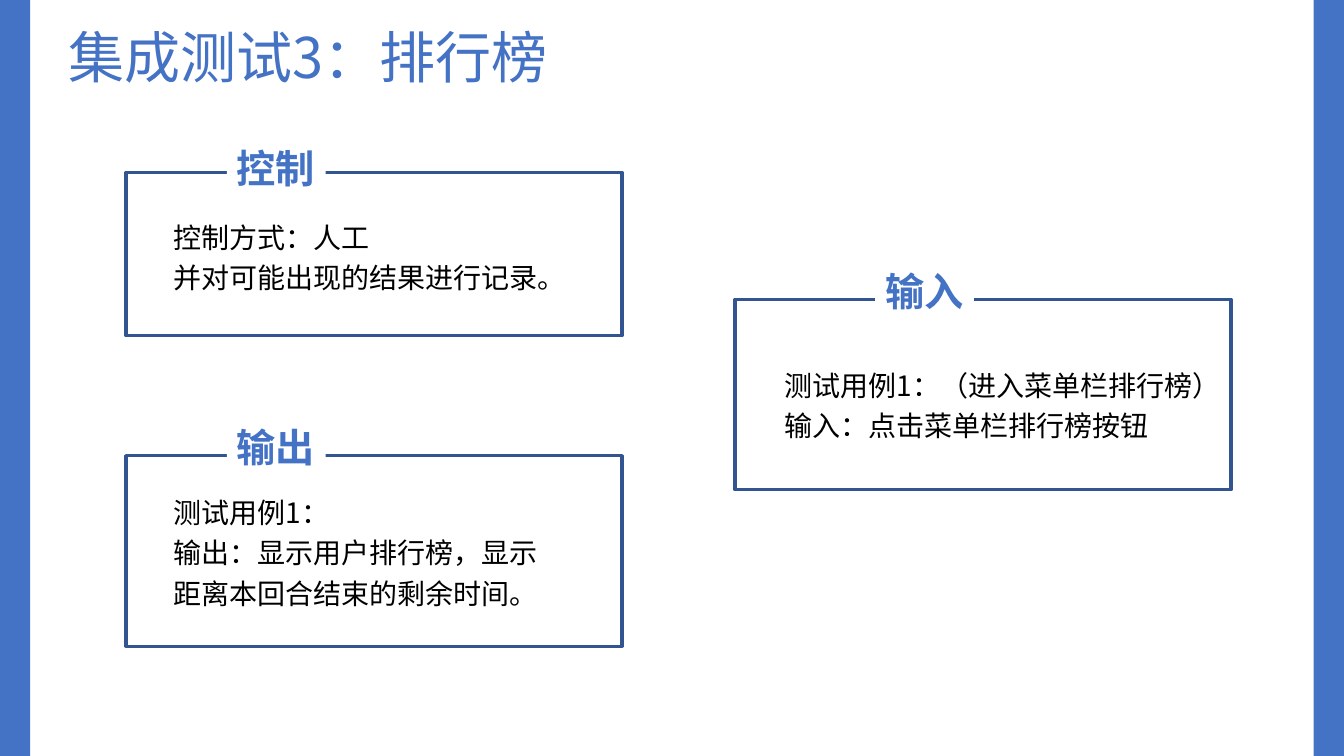
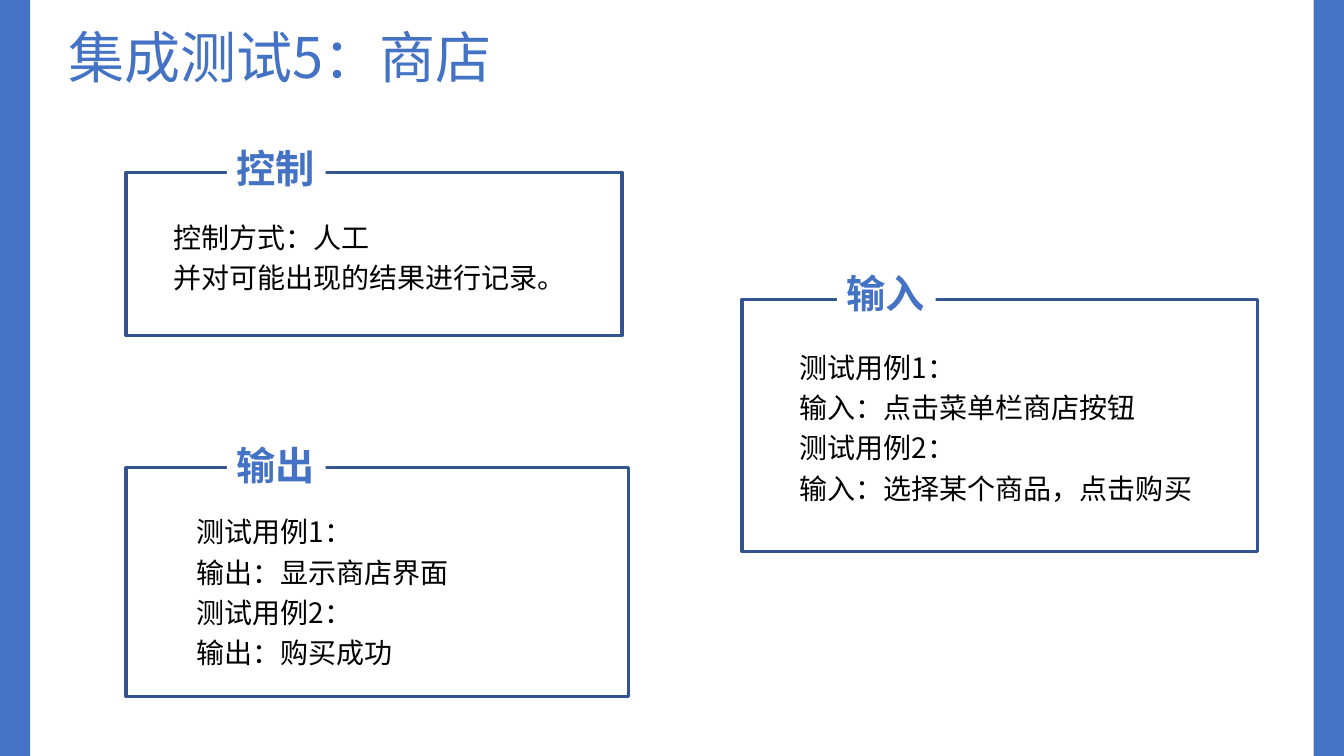
from dataclasses import dataclass
from typing import NamedTuple

from lxml.etree import SubElement
from pptx import Presentation
from pptx.dml.color import RGBColor
from pptx.enum.shapes import MSO_SHAPE as Preset
from pptx.enum.text import MSO_ANCHOR as Anchor
from pptx.enum.text import MSO_AUTO_SIZE as AutoSize
from pptx.enum.text import PP_ALIGN as Align
from pptx.oxml.ns import qn
from pptx.util import Pt

# Shared look: 100 px to the inch
EMU_PER_PX = 9144
SLIDE_W, SLIDE_H, BAND_W = 1333, 750, 30
FONT = "Noto Sans CJK SC"
COLOURS = {"accent": "4472C4", "frame": "325491", "label": "FFFFFF", "body": "000000"}


class Box(NamedTuple):
    left: int
    top: int
    width: int
    height: int

    def emu(self) -> list[int]:
        return [length * EMU_PER_PX for length in self]


class TextStyle(NamedTuple):
    size: int
    colour: str
    bold: bool = False
    spacing: float = 1.0


TITLE_BOX = Box(58, 17, 514, 77)
LABEL_W, LABEL_H = 98, 57
TITLE_STYLE = TextStyle(40, "accent")
LABEL_STYLE = TextStyle(28, "accent", bold=True)
BODY_STYLE = TextStyle(20, "body", spacing=1.2)


@dataclass(frozen=True)
class Section:
    heading: str
    frame: Box
    label_at: tuple[int, int]
    body: Box
    lines: tuple[str, ...]


@dataclass(frozen=True)
class TestSlide:
    title: str
    sections: tuple[Section, ...]


# Content
CONTROL = Section("控制", Box(125, 171, 492, 162), (225, 138), Box(162, 207, 418, 91),
                  ("控制方式：人工", "并对可能出现的结果进行记录。"))

TEST_SLIDES = (
    TestSlide("集成测试3：排行榜", (
        CONTROL,
        Section("输出", Box(125, 452, 492, 189), (225, 415), Box(162, 480, 403, 131),
                ("测试用例1：", "输出：显示用户排行榜，显示距离本回合结束的剩余时间。")),
        Section("输入", Box(729, 297, 492, 189), (868, 260), Box(768, 354, 462, 91),
                ("测试用例1：（进入菜单栏排行榜）", "输入：点击菜单栏排行榜按钮")),
    )),
    TestSlide("集成测试5：商店", (
        CONTROL,
        Section("输出", Box(125, 464, 498, 227), (225, 433), Box(185, 499, 338, 172),
                ("测试用例1：", "输出：显示商店界面", "测试用例2：", "输出：购买成功")),
        Section("输入", Box(736, 297, 511, 250), (830, 262), Box(783, 336, 417, 172),
                ("测试用例1：", "输入：点击菜单栏商店按钮",
                 "测试用例2：", "输入：选择某个商品，点击购买")),
    )),
)


def rgb(colour: str) -> RGBColor:
    return RGBColor.from_string(COLOURS[colour])


def write(frame, lines: tuple[str, ...], style: TextStyle, wrap: bool = True) -> None:
    frame.word_wrap = wrap
    frame.auto_size = AutoSize.SHAPE_TO_FIT_TEXT
    frame.vertical_anchor = Anchor.TOP
    for index, line in enumerate(lines):
        paragraph = frame.add_paragraph() if index else frame.paragraphs[0]
        paragraph.alignment = Align.LEFT
        paragraph.line_spacing = style.spacing
        run = paragraph.add_run()
        run.text = line
        run.font.size = Pt(style.size)
        run.font.bold = style.bold
        run.font.color.rgb = rgb(style.colour)
        run.font.name = FONT
        # Chinese characters take the East Asian typeface
        SubElement(run.font._element, qn("a:ea")).set("typeface", FONT)


def add_text(slide, box: Box, lines: tuple[str, ...], style: TextStyle) -> None:
    write(slide.shapes.add_textbox(*box.emu()).text_frame, lines, style)


def add_rect(slide, box: Box, fill: str | None = None, line: str | None = None):
    rect = slide.shapes.add_shape(Preset.RECTANGLE, *box.emu())
    rect.shadow.inherit = False
    if fill:
        rect.fill.solid()
        rect.fill.fore_color.rgb = rgb(fill)
    else:
        rect.fill.background()
    if line:
        rect.line.color.rgb = rgb(line)
        rect.line.width = Pt(2.25)
    else:
        rect.line.fill.background()
    return rect


def add_section(slide, section: Section) -> None:
    add_rect(slide, section.frame, line="frame")
    # The white label interrupts the frame's top edge
    label = add_rect(slide, Box(*section.label_at, LABEL_W, LABEL_H), fill="label")
    write(label.text_frame, (section.heading,), LABEL_STYLE, wrap=False)
    add_text(slide, section.body, section.lines, BODY_STYLE)


def add_test_slide(deck, content: TestSlide) -> None:
    slide = deck.slides.add_slide(deck.slide_layouts[6])
    # Side bands and title
    for left in (0, SLIDE_W - BAND_W):
        add_rect(slide, Box(left, 0, BAND_W, SLIDE_H), fill="accent")
    add_text(slide, TITLE_BOX, (content.title,), TITLE_STYLE)
    for section in content.sections:
        add_section(slide, section)


def main() -> None:
    deck = Presentation()
    deck.slide_width = SLIDE_W * EMU_PER_PX
    deck.slide_height = SLIDE_H * EMU_PER_PX
    for content in TEST_SLIDES:
        add_test_slide(deck, content)
    deck.save("out.pptx")


if __name__ == "__main__":
    main()
